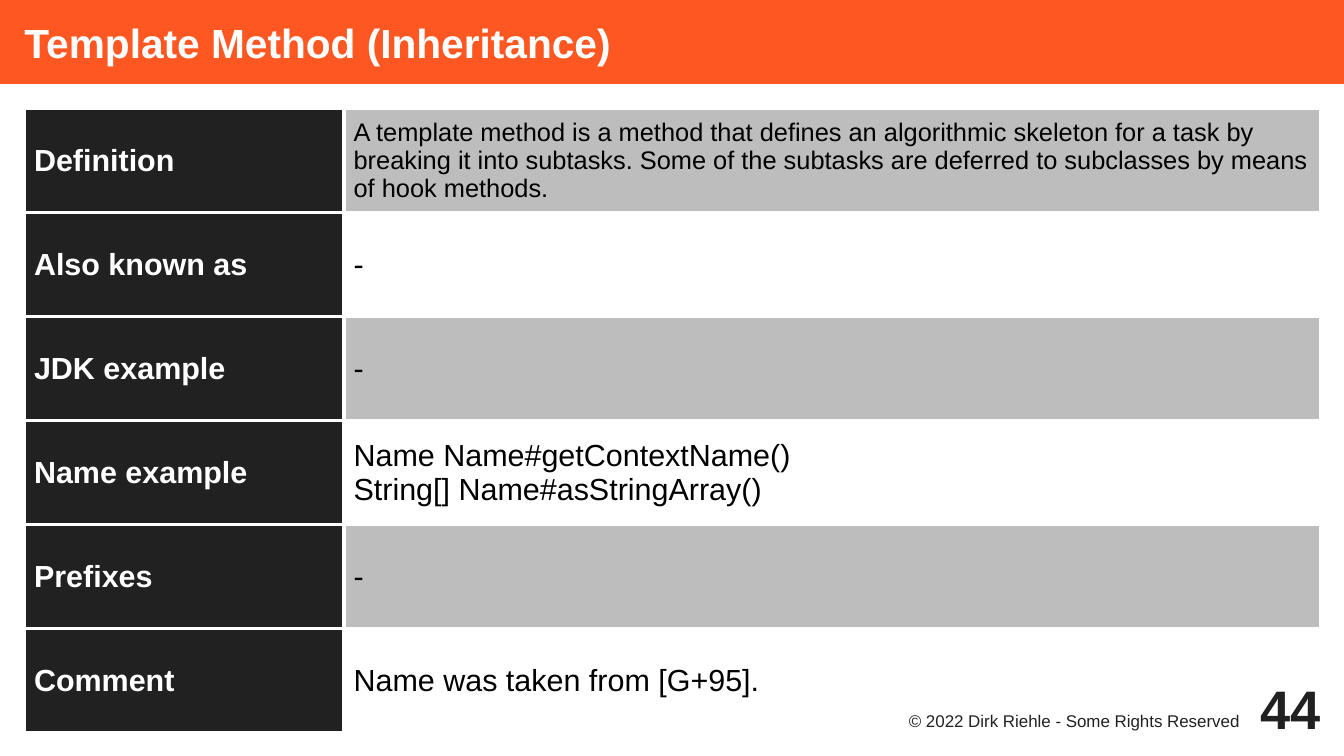
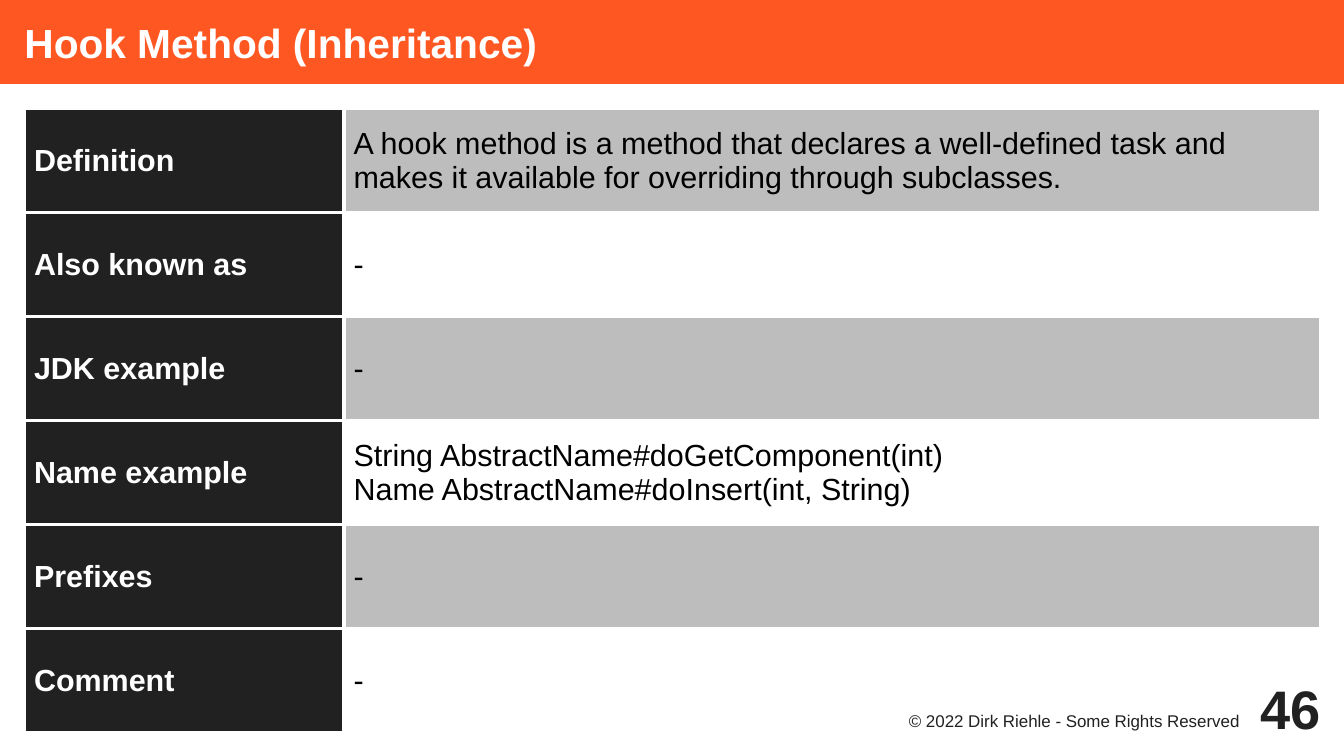
from lxml import etree
from pptx import Presentation
from pptx.dml.color import RGBColor
from pptx.enum.shapes import MSO_SHAPE as Shape
from pptx.enum.text import MSO_ANCHOR as Anchor, PP_ALIGN as Align
from pptx.oxml.ns import qn
from pptx.util import Pt

ORANGE, DARK, GREY, WHITE, BLACK = "FF5722", "212121", "BDBDBD", "FFFFFF", "000000"
WIDE, HIGH = 793.5, 446.4
EDGE, TOP = 14.4, 64.1
COLS = [188.7, 576.6]
ROW = 61.44
RULE = 2.27


def paint(target, color):
    if hasattr(target, "solid"):
        target.solid()
        target = target.fore_color
    target.rgb = RGBColor.from_string(color)


def write(host, text, size, color, bold, pads, anchor=Anchor.MIDDLE, align=Align.LEFT):
    frame = getattr(host, "text_frame", host)
    frame.text = text
    frame.word_wrap = True
    host.vertical_anchor = anchor
    for side, pad in zip(["left", "top", "right", "bottom"], pads):
        setattr(host, "margin_" + side, Pt(pad))
    style = {"name": "Arial", "size": Pt(size), "bold": bold}
    for para in frame.paragraphs:
        para.alignment = align
        for run in para.runs:
            for key, value in style.items():
                setattr(run.font, key, value)
            paint(run.font.color, color)


labels = ["Definition", "Also known as", "JDK example", "Name example", "Prefixes", "Comment"]
pages = [
    {
        "title": "Template Method (Inheritance)",
        "number": "44",
        "size": 15,
        "values": [
            "A template method is a method that defines an algorithmic skeleton for a task by "
            "breaking it into subtasks. Some of the subtasks are deferred to subclasses by means "
            "of hook methods.",
            "-",
            "-",
            "Name Name#getContextName()\nString[] Name#asStringArray()",
            "-",
            "Name was taken from [G+95].",
        ],
    },
    {
        "title": "Hook Method (Inheritance)",
        "number": "46",
        "size": 18,
        "values": [
            "A hook method is a method that declares a well-defined task and makes it available "
            "for overriding through subclasses.",
            "-",
            "-",
            "String AbstractName#doGetComponent(int)\nName AbstractName#doInsert(int, String)",
            "-",
            "-",
        ],
    },
]

deck = Presentation()
deck.slide_width, deck.slide_height = Pt(WIDE), Pt(HIGH)

for page in pages:
    slide = deck.slides.add_slide(deck.slide_layouts[6])
    shapes = slide.shapes
    paint(slide.background.fill, WHITE)

    band = shapes.add_shape(Shape.RECTANGLE, 0, 0, Pt(WIDE), Pt(49.6))
    band.shadow.inherit = False
    paint(band.fill, ORANGE)
    band.line.fill.background()
    write(band.text_frame, page["title"], 24, WHITE, True, [EDGE, 0, 0, 0])

    place = [Pt(n) for n in (EDGE, TOP, sum(COLS), ROW * len(labels))]
    table = shapes.add_table(len(labels), len(COLS), *place).table
    table.first_row = table.horz_banding = False
    for column, width in zip(table.columns, COLS):
        column.width = Pt(width)
    for i, pair in enumerate(zip(labels, page["values"])):
        table.rows[i].height = Pt(ROW)
        fills = [DARK, WHITE if i % 2 else GREY]
        for j, text in enumerate(pair):
            cell = table.cell(i, j)
            size = page["size"] if (i, j) == (0, 1) else 18
            write(cell, text, size, [WHITE, BLACK][j], j == 0, [5.7, 3.6, 5.7, 3.6])
            props = cell._tc.get_or_add_tcPr()
            for side in "LRTB":
                line = etree.SubElement(props, qn("a:ln" + side), w=str(Pt(RULE)))
                solid = etree.SubElement(line, qn("a:solidFill"))
                etree.SubElement(solid, qn("a:srgbClr"), val=WHITE)
            paint(cell.fill, fills[j])

    footer = shapes.add_textbox(Pt(510.5), Pt(418.3), Pt(226.8), Pt(21.6))
    write(footer.text_frame, "© 2022 Dirk Riehle - Some Rights Reserved", 10, DARK, False,
          [0, 1.4, 5.7, 0], Anchor.TOP, Align.RIGHT)
    number = shapes.add_textbox(Pt(722.9), Pt(396.7), Pt(56.7), Pt(42.5))
    write(number.text_frame, page["number"], 32, DARK, True, [0] * 4, align=Align.RIGHT)

deck.save("out.pptx")
